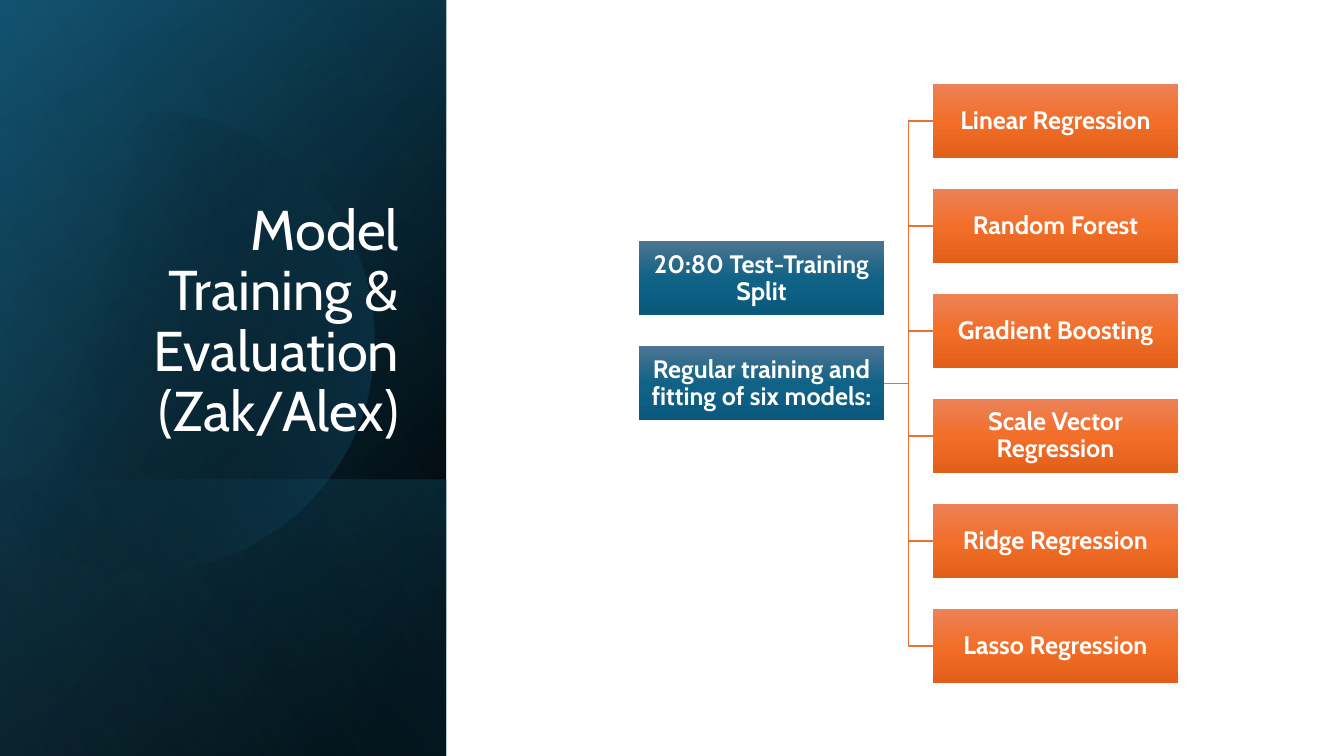
"""Build the model training and evaluation slide with its model tree."""
import math

import lxml.etree
import pptx
import pptx.dml.color
import pptx.enum.shapes
import pptx.enum.text
import pptx.oxml.ns
import pptx.util

RGBColor = pptx.dml.color.RGBColor
MSO_SHAPE = pptx.enum.shapes.MSO_SHAPE
PP_ALIGN = pptx.enum.text.PP_ALIGN
MSO_ANCHOR = pptx.enum.text.MSO_ANCHOR
qn = pptx.oxml.ns.qn

TITLE = "Model Training & Evaluation (Zak/Alex)"
STEPS = ["20:80 Test-Training Split", "Regular training and fitting of six models:"]
MODELS = [
    "Linear Regression",
    "Random Forest",
    "Gradient Boosting",
    "Scale Vector Regression",
    "Ridge Regression",
    "Lasso Regression",
]

BLACK = RGBColor(0x00, 0x00, 0x00)
WHITE = RGBColor(0xFF, 0xFF, 0xFF)
NAVY = RGBColor(0x10, 0x48, 0x62)
TEAL = RGBColor(0x15, 0x60, 0x82)
SKY = RGBColor(0x46, 0xB1, 0xE1)
ORANGE = RGBColor(0xE9, 0x71, 0x32)
BLUE_TOP = RGBColor(0x4C, 0x75, 0x91)
BLUE_MIDDLE = RGBColor(0x10, 0x62, 0x87)
BLUE_BOTTOM = RGBColor(0x09, 0x59, 0x7D)
ORANGE_TOP = RGBColor(0xED, 0x82, 0x57)
ORANGE_MIDDLE = RGBColor(0xF2, 0x6E, 0x29)
ORANGE_BOTTOM = RGBColor(0xE2, 0x5F, 0x1A)

PANEL_BASE = ([(8, BLACK, 100), (100, NAVY, 100)], 50)
PANEL_GLOW = ([(0, BLACK, 0), (99, TEAL, 46)], 30)
PANEL_FOOT = ([(2, TEAL, 29), (100, BLACK, 30)], 130)
PANEL_DISC = ([(29, BLACK, 0), (100, TEAL, 43)], 14)
PANEL_SHEEN = ([(0, BLACK, 0), (99, SKY, 11)], 120)
STEP_FILL = ([(0, BLUE_TOP, 100), (50, BLUE_MIDDLE, 100), (100, BLUE_BOTTOM, 100)], 90)
MODEL_FILL = ([(0, ORANGE_TOP, 100), (50, ORANGE_MIDDLE, 100), (100, ORANGE_BOTTOM, 100)], 90)

FONT = "Cabin"
SLIDE_WIDTH, SLIDE_HEIGHT = 1344, 756
PANEL_WIDTH, FOOT_TOP = 446, 480
TITLE_BOX = (65, 185, 344, 264)
DISC_X, DISC_Y, DISC_RADIUS = 144, 341, 230
STEP_LEFT, MODEL_LEFT, MODEL_TOP = 639, 933, 84
BOX_WIDTH, BOX_HEIGHT, BOX_PITCH = 245, 74, 105
EMU_PER_PX = 914400 / 100.8


def px(length):
    return pptx.util.Emu(round(length * EMU_PER_PX))


def paint(shape, gradient):
    stops, angle = gradient
    shape.shadow.inherit = False
    shape.line.fill.background()
    shape.fill.background()
    empty_fill = shape._element.spPr.find(qn("a:noFill"))
    fill = lxml.etree.Element(qn("a:gradFill"), rotWithShape="1")
    stop_list = lxml.etree.SubElement(fill, qn("a:gsLst"))
    for position, color, opacity in stops:
        stop = lxml.etree.SubElement(stop_list, qn("a:gs"), pos=str(position * 1000))
        paint_color = lxml.etree.SubElement(stop, qn("a:srgbClr"), val=str(color))
        if opacity < 100:
            lxml.etree.SubElement(paint_color, qn("a:alpha"), val=str(opacity * 1000))
    lxml.etree.SubElement(fill, qn("a:lin"), ang=str(angle * 60000), scaled="0")
    empty_fill.getparent().replace(empty_fill, fill)


def write(shape, text, size, bold, alignment, anchor):
    frame = shape.text_frame
    frame.word_wrap = True
    frame.vertical_anchor = anchor
    frame.text = text
    paragraph = frame.paragraphs[0]
    paragraph.alignment = alignment
    paragraph.line_spacing = 0.9
    font = paragraph.runs[0].font
    font.name, font.size, font.bold = FONT, pptx.util.Pt(size), bold
    font.color.rgb = WHITE


def add_panel_layer(slide, top, gradient):
    length = SLIDE_HEIGHT - top
    left = (PANEL_WIDTH - length) / 2
    upper = top + (length - PANEL_WIDTH) / 2
    layer = slide.shapes.add_shape(
        MSO_SHAPE.RECTANGLE, px(left), px(upper), px(length), px(PANEL_WIDTH))
    layer.rotation = 90
    layer._element.spPr.find(qn("a:xfrm")).set("flipH", "1")
    paint(layer, gradient)


def add_disc(slide):
    edge = math.degrees(math.acos(-DISC_X / DISC_RADIUS))
    angles = [math.radians(-edge + 2 * edge * step / 90) for step in range(91)]
    points = [(DISC_X + DISC_RADIUS * math.cos(angle), DISC_Y + DISC_RADIUS * math.sin(angle))
              for angle in angles]
    builder = slide.shapes.build_freeform(*points[0], scale=EMU_PER_PX)
    builder.add_line_segments(points[1:], close=True)
    paint(builder.convert_to_shape(), PANEL_DISC)


def add_box(slide, text, left, top, gradient):
    box = slide.shapes.add_shape(
        MSO_SHAPE.RECTANGLE, px(left), px(top), px(BOX_WIDTH), px(BOX_HEIGHT))
    paint(box, gradient)
    frame = box.text_frame
    frame.margin_left = frame.margin_right = frame.margin_top = frame.margin_bottom = px(1)
    write(box, text, 18, True, PP_ALIGN.CENTER, MSO_ANCHOR.MIDDLE)
    return box


def add_branch(slide, parent, child):
    branch = slide.shapes.add_connector(
        pptx.enum.shapes.MSO_CONNECTOR.ELBOW,
        parent.left + parent.width, parent.top + parent.height // 2,
        child.left, child.top + child.height // 2)
    branch.begin_connect(parent, 3)
    branch.end_connect(child, 1)
    branch.line.color.rgb = ORANGE
    branch.line.width = pptx.util.Pt(1)
    lxml.etree.SubElement(branch._element.spPr, qn("a:effectLst"))


def main():
    presentation = pptx.Presentation()
    presentation.slide_width, presentation.slide_height = px(SLIDE_WIDTH), px(SLIDE_HEIGHT)
    slide = presentation.slides.add_slide(presentation.slide_layouts[6])

    add_panel_layer(slide, 0, PANEL_BASE)
    add_panel_layer(slide, 0, PANEL_GLOW)
    add_panel_layer(slide, FOOT_TOP, PANEL_FOOT)
    add_disc(slide)
    add_panel_layer(slide, 0, PANEL_SHEEN)
    title = slide.shapes.add_textbox(*map(px, TITLE_BOX))
    write(title, TITLE, 40, False, PP_ALIGN.RIGHT, MSO_ANCHOR.BOTTOM)

    step_top = MODEL_TOP + BOX_PITCH * (len(MODELS) / 2 - len(STEPS) + 0.5)
    steps = [add_box(slide, text, STEP_LEFT, step_top + BOX_PITCH * row, STEP_FILL)
             for row, text in enumerate(STEPS)]
    models = [add_box(slide, text, MODEL_LEFT, MODEL_TOP + BOX_PITCH * row, MODEL_FILL)
              for row, text in enumerate(MODELS)]
    for model in models:
        add_branch(slide, steps[-1], model)

    presentation.save("out.pptx")


if __name__ == "__main__":
    main()
